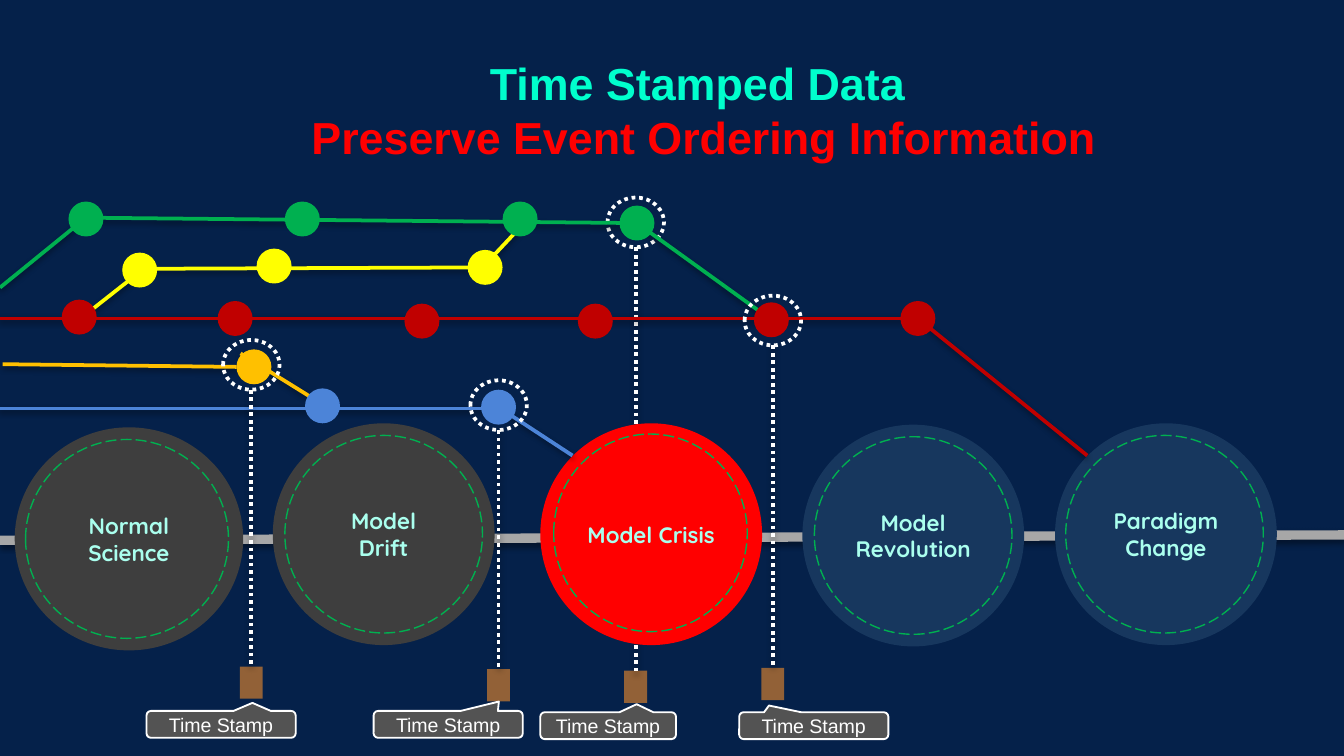
import pptx
import pptx.util
import pptx.dml.color
import pptx.enum.dml
import pptx.enum.shapes
import pptx.enum.text
import pptx.oxml
from pptx.dml.color import RGBColor
from pptx.enum.dml import MSO_LINE
from pptx.enum.shapes import MSO_SHAPE
from pptx.util import Inches

NAVY = RGBColor(0x05, 0x21, 0x4A)
WHITE = RGBColor(0xFF, 0xFF, 0xFF)
GRAY = RGBColor(0xA7, 0xA7, 0xA7)
CHARCOAL = RGBColor(0x3E, 0x3E, 0x3E)
LABEL_GRAY = RGBColor(0x53, 0x53, 0x53)
BROWN = RGBColor(0x92, 0x61, 0x37)
AQUA = RGBColor(0x00, 0xFF, 0xCD)
MINT = RGBColor(0xAA, 0xFF, 0xEE)
RED = RGBColor(0xFF, 0x00, 0x00)
STEEL = RGBColor(0x17, 0x37, 0x5E)
GREEN = RGBColor(0x00, 0xB0, 0x50)
YELLOW = RGBColor(0xFF, 0xFF, 0x00)
DARK_RED = RGBColor(0xC0, 0x00, 0x00)
AMBER = RGBColor(0xFF, 0xC0, 0x00)
BLUE = RGBColor(0x4C, 0x84, 0xD8)

SLIDE_WIDTH = 10
SLIDE_HEIGHT = SLIDE_WIDTH * 9 / 16

TITLE_LINES = [("Time Stamped Data ", AQUA), ("Preserve Event Ordering Information", RED)]

# Stages: paragraphs, fill, left, top, width, height, inner ring left, top, width, height
STAGES = [
    (["Normal Science"], CHARCOAL, (0.11, 3.18, 1.7, 1.66), (0.19, 3.27, 1.51, 1.48)),
    (["Model", "Drift"], CHARCOAL, (2.03, 3.15, 1.65, 1.65), (2.12, 3.24, 1.47, 1.47)),
    (["Model Crisis"], RED, (4.02, 3.15, 1.65, 1.65), (4.12, 3.23, 1.44, 1.47)),
    (["Model Revolution"], STEEL, (5.97, 3.16, 1.65, 1.65), (6.06, 3.25, 1.47, 1.47)),
    (["Paradigm Change"], STEEL, (7.85, 3.15, 1.65, 1.65), (7.93, 3.24, 1.47, 1.47)),
]

# Event tracks: colour, line segments, dot centres
TRACKS = [
    (YELLOW,
     [(0.6, 2.37, 1.07, 2), (1.07, 2, 3.59, 1.99), (3.59, 1.99, 3.9, 1.66)],
     [(1.04, 2.01), (2.04, 1.98), (3.61, 1.99)]),
    (GREEN,
     [(4.74, 1.66, 5.74, 2.38), (0, 2.14, 0.64, 1.62), (0.64, 1.62, 4.74, 1.66)],
     [(0.64, 1.63), (2.25, 1.63), (3.87, 1.63), (4.74, 1.66)]),
    (DARK_RED,
     [(-0.01, 2.37, 6.8, 2.37), (6.83, 2.37, 8.09, 3.39)],
     [(5.74, 2.38), (0.59, 2.36), (1.75, 2.37), (3.14, 2.39), (4.43, 2.39), (6.83, 2.37)]),
    (AMBER,
     [(0.02, 2.71, 1.76, 2.73), (1.79, 2.63, 2.45, 3.04)],
     [(1.89, 2.73)]),
    (BLUE,
     [(-0.01, 3.04, 3.69, 3.04), (3.71, 3.03, 4.26, 3.39)],
     [(3.71, 3.03), (2.4, 3.02)]),
]
DOT = 0.26

# Stamps: centre x, ring top, marker top; the crisis stamp runs behind its stage
CRISIS_STAMP = (4.73, 1.47, 4.99)
OTHER_STAMPS = [(3.71, 2.83, 4.98), (5.75, 2.2, 4.97), (1.87, 2.53, 4.96)]
RING_WIDTH, RING_HEIGHT = 0.42, 0.37
MARKER_WIDTH, MARKER_HEIGHT = 0.17, 0.24

# Callouts: left, top, width, pointer x and y
CALLOUTS = [
    (2.78, 5.29, 1.11, 0.34, -0.85),
    (4.02, 5.3, 1.01, 0.21, -0.8),
    (1.09, 5.29, 1.11, 0.21, -0.8),
    (5.5, 5.3, 1.11, -0.3, -0.75),
]

SHADOW = (
    '<a:effectLst xmlns:a="http://schemas.openxmlformats.org/drawingml/2006/main">'
    '<a:outerShdw blurRad="38100" dist="20320" dir="5400000" rotWithShape="0">'
    '<a:srgbClr val="000000"><a:alpha val="38000"/></a:srgbClr>'
    '</a:outerShdw></a:effectLst>'
)


def style_line(line, color, width, dash=None):
    line.color.rgb = color
    line.width = pptx.util.Pt(width)
    if dash is not None:
        line.dash_style = dash


def add_shape(slide, kind, left, top, width, height, fill=None, outline=None):
    shape = slide.shapes.add_shape(
        kind, Inches(left), Inches(top), Inches(width), Inches(height))
    shape.shadow.inherit = False
    if fill is None:
        shape.fill.background()
    else:
        shape.fill.solid()
        shape.fill.fore_color.rgb = fill
    if outline is None:
        shape.line.fill.background()
    else:
        style_line(shape.line, *outline)
    return shape


def add_line(slide, ends, color, width, dash=None):
    connector = slide.shapes.add_connector(
        pptx.enum.shapes.MSO_CONNECTOR.STRAIGHT, *[Inches(value) for value in ends])
    style_line(connector.line, color, width, dash)
    connector._element.spPr.append(pptx.oxml.parse_xml(SHADOW))
    return connector


def add_run(paragraph, text, font_name, size, color, bold=False):
    paragraph.alignment = pptx.enum.text.PP_ALIGN.CENTER
    run = paragraph.add_run()
    run.text = text
    run.font.name = font_name
    run.font.size = pptx.util.Pt(size)
    run.font.bold = bold
    run.font.color.rgb = color


def set_margins(frame, margin):
    frame.margin_left = frame.margin_right = Inches(margin)
    frame.margin_top = frame.margin_bottom = Inches(margin)
    frame.vertical_anchor = pptx.enum.text.MSO_ANCHOR.MIDDLE
    frame.word_wrap = True


def add_stamp(slide, center, ring_top, marker_top):
    marker = add_shape(slide, MSO_SHAPE.RECTANGLE, center - MARKER_WIDTH / 2, marker_top,
                       MARKER_WIDTH, MARKER_HEIGHT, BROWN)
    add_shape(slide, MSO_SHAPE.OVAL, center - RING_WIDTH / 2, ring_top,
              RING_WIDTH, RING_HEIGHT, outline=(WHITE, 2, MSO_LINE.ROUND_DOT))
    connector = add_line(slide, (center, ring_top + RING_HEIGHT, center, marker_top),
                         WHITE, 2, MSO_LINE.ROUND_DOT)
    connector.end_connect(marker, 0)


def add_stage(slide, paragraphs, fill, circle_box, ring_box):
    circle = add_shape(slide, MSO_SHAPE.OVAL, *circle_box, fill)
    frame = circle.text_frame
    frame.vertical_anchor = pptx.enum.text.MSO_ANCHOR.MIDDLE
    for index, text in enumerate(paragraphs):
        paragraph = frame.add_paragraph() if index else frame.paragraphs[0]
        add_run(paragraph, text, "Quicksand", 12, MINT, True)
    add_shape(slide, MSO_SHAPE.OVAL, *ring_box, outline=(GREEN, 0.75, MSO_LINE.LONG_DASH))


def main():
    presentation = pptx.Presentation()
    presentation.slide_width = Inches(SLIDE_WIDTH)
    presentation.slide_height = Inches(SLIDE_HEIGHT)
    slide = presentation.slides.add_slide(presentation.slide_layouts[5])
    slide.background.fill.solid()
    slide.background.fill.fore_color.rgb = NAVY

    # Title
    title = slide.shapes.title
    title.left, title.top = Inches(2.02), Inches(0.3)
    title.width, title.height = Inches(6.43), Inches(1.03)
    set_margins(title.text_frame, 0.1)
    heading = title.text_frame.paragraphs[0]
    heading.line_spacing = 1.0
    for index, (text, color) in enumerate(TITLE_LINES):
        if index:
            heading.add_line_break()
        add_run(heading, text, "Arial", 24, color, True)

    # Timeline and stages
    add_stamp(slide, *CRISIS_STAMP)
    add_line(slide, (0, 4.02, SLIDE_WIDTH, 3.98), GRAY, 5)
    for stage in STAGES:
        add_stage(slide, *stage)

    # Event tracks
    for color, segments, dots in TRACKS:
        for segment in segments:
            add_line(slide, segment, color, 2)
        for x, y in dots:
            add_shape(slide, MSO_SHAPE.OVAL, x - DOT / 2, y - DOT / 2, DOT, DOT, color)

    # Time stamps and their labels
    for stamp in OTHER_STAMPS:
        add_stamp(slide, *stamp)
    for left, top, width, pointer_x, pointer_y in CALLOUTS:
        callout = add_shape(slide, MSO_SHAPE.ROUNDED_RECTANGULAR_CALLOUT, left, top,
                            width, 0.2, LABEL_GRAY, (WHITE, 1))
        callout.adjustments[0] = pointer_x
        callout.adjustments[1] = pointer_y
        set_margins(callout.text_frame, 0)
        add_run(callout.text_frame.paragraphs[0], "Time Stamp", "Arial", 10.5, WHITE)

    presentation.save("out.pptx")


if __name__ == "__main__":
    main()
